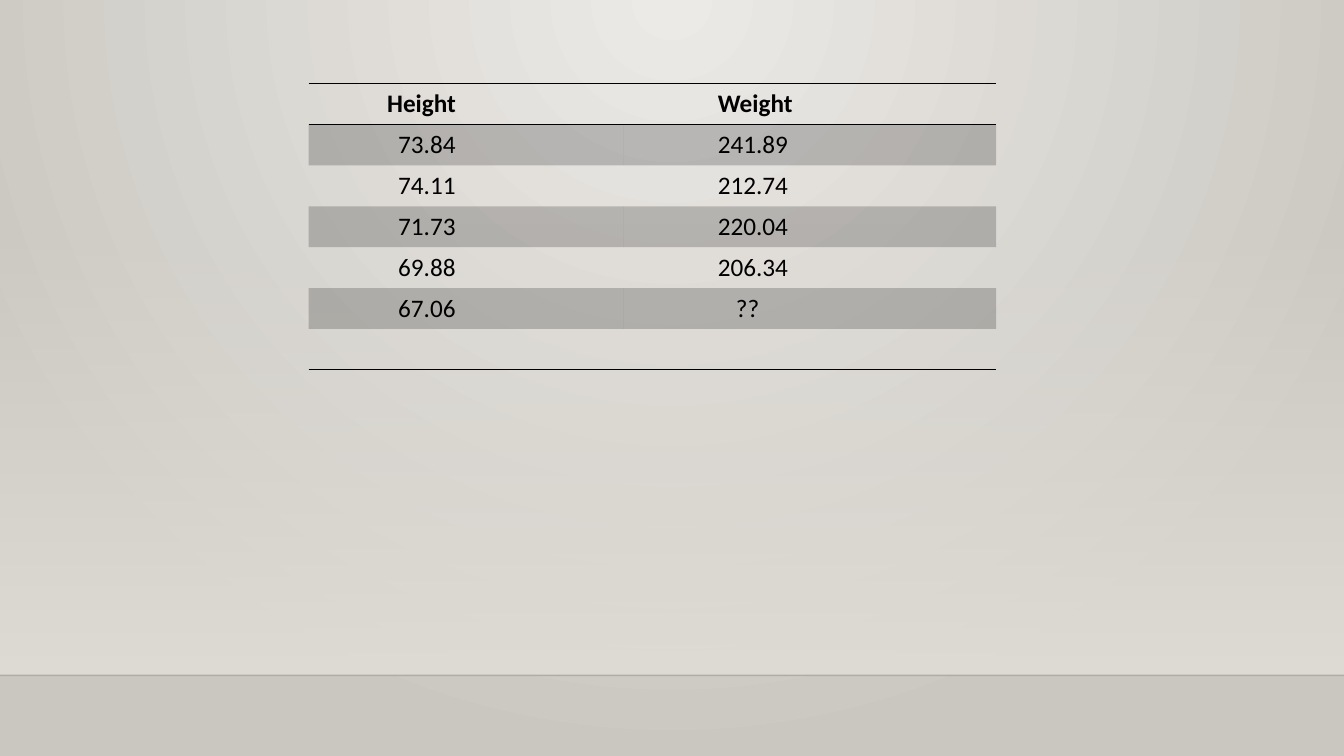
"""Build a slide with a height and weight table on a softly lit backdrop."""
from dataclasses import dataclass

from lxml import etree
from pptx import Presentation
from pptx import util as u
from pptx.dml.color import RGBColor
from pptx.enum import shapes, text
from pptx.oxml.ns import qn


@dataclass(frozen=True)
class Theme:
    """Colours, type and line sizes of the slide."""
    ink: str = "000000"
    glow: str = "ECEAE7"
    edge: str = "CAC7C1"
    wall: str = "DFDBD5"
    font: str = "Calibri"
    size: int = 18
    rule: int = 1
    tint: int = 20
    plain_table: str = "{2D5ABB26-0587-4C30-8999-92F81FD0307C}"


class SlideBuilder:
    """Draws styled elements on one slide."""

    def __init__(self, slide, theme):
        """Keep the slide and its theme."""
        self.slide = slide
        self.theme = theme

    def set_alpha(self, color, percent):
        """Make a colour element partly transparent."""
        etree.SubElement(color, qn("a:alpha")).set("val", str(percent * 1000))

    def gradient(self, fill, colors):
        """Apply a two-stop gradient."""
        fill.gradient()
        for stop, color in zip(fill.gradient_stops, colors):
            stop.color.rgb = RGBColor.from_string(color)

    def backdrop(self):
        """Fill the background with a glow from the top centre."""
        self.gradient(self.slide.background.fill, (self.theme.glow, self.theme.edge))
        linear = next(self.slide.element.iter(qn("a:lin")))
        circle = etree.Element(qn("a:path"), {"path": "circle"})
        focus = {"l": "43000", "t": "0", "r": "43000", "b": "100000"}
        etree.SubElement(circle, qn("a:fillToRect"), focus)
        linear.getparent().replace(linear, circle)

    def wall(self, left, top, width, height):
        """Add a panel that fades in downwards."""
        shape = self.slide.shapes.add_shape(
            shapes.MSO_SHAPE.RECTANGLE, u.Inches(left), u.Inches(top),
            u.Inches(width), u.Inches(height))
        shape.shadow.inherit = False
        shape.line.fill.background()
        self.gradient(shape.fill, (self.theme.wall, self.theme.wall))
        shape.fill.gradient_angle = 270
        self.set_alpha(next(shape.element.iter(qn("a:srgbClr"))), 0)

    def horizon(self, top, width):
        """Add a faint line across the slide."""
        line = self.slide.shapes.add_connector(
            shapes.MSO_CONNECTOR.STRAIGHT, 0, u.Inches(top),
            u.Inches(width), u.Inches(top))
        line.line.width = u.Pt(self.theme.rule)
        line.line.color.rgb = RGBColor.from_string(self.theme.ink)
        self.set_alpha(next(line.element.iter(qn("a:srgbClr"))), self.theme.tint)
        etree.SubElement(line.element.spPr, qn("a:effectLst"))

    def border(self, cell, sides):
        """Rule the given sides of a cell, named in schema order."""
        properties = cell._tc.get_or_add_tcPr()
        for index, side in enumerate(sides):
            line = etree.Element(qn(f"a:ln{side}"), {"w": str(u.Pt(self.theme.rule))})
            solid = etree.SubElement(line, qn("a:solidFill"))
            etree.SubElement(solid, qn("a:srgbClr")).set("val", self.theme.ink)
            properties.insert(index, line)

    def cell(self, cell, value, indent, bold, shaded):
        """Write and style one table cell."""
        cell.margin_left = u.Inches(indent)
        cell.vertical_anchor = text.MSO_ANCHOR.TOP
        paragraph = cell.text_frame.paragraphs[0]
        paragraph.text = value
        paragraph.font.size = u.Pt(self.theme.size)
        for run in paragraph.runs:
            run.font.name = self.theme.font
            run.font.size = u.Pt(self.theme.size)
            run.font.bold = bold
            run.font.color.rgb = RGBColor.from_string(self.theme.ink)
        if shaded:
            cell.fill.solid()
            cell.fill.fore_color.rgb = RGBColor.from_string(self.theme.ink)
            color = next(cell._tc.tcPr.iter(qn("a:srgbClr")))
            self.set_alpha(color, self.theme.tint)
        else:
            cell.fill.background()

    def table(self, left, top, widths, row_height, rows, indents):
        """Add a table with a ruled header, shaded odd rows and a closing rule."""
        table = self.slide.shapes.add_table(
            len(rows), len(widths), u.Inches(left), u.Inches(top),
            u.Inches(sum(widths)), u.Inches(row_height * len(rows))).table
        table._tbl.tblPr.find(qn("a:tableStyleId")).text = self.theme.plain_table
        table.first_row = table.horz_banding = False
        for column, width in zip(table.columns, widths):
            column.width = u.Inches(width)
        last = len(rows) - 1
        for row, values in enumerate(rows):
            for column, value in enumerate(values):
                cell = table.cell(row, column)
                indent = indents.get(value, indents[column])
                self.cell(cell, value, indent, row == 0, row % 2 == 1)
                self.border(cell, {0: "TB", last: "B"}.get(row, ""))


def main():
    """Create and save the presentation."""
    presentation = Presentation()
    presentation.slide_width = u.Inches(13.33)
    presentation.slide_height = u.Inches(7.5)
    slide = presentation.slides.add_slide(presentation.slide_layouts[6])
    builder = SlideBuilder(slide, Theme())
    builder.backdrop()
    builder.wall(0, 2.21, 13.33, 4.49)
    builder.horizon(6.7, 13.33)
    measurements = [
        ("Height", "Weight"),
        ("73.84", "241.89"),
        ("74.11", "212.74"),
        ("71.73", "220.04"),
        ("69.88", "206.34"),
        ("67.06", "??"),
        ("", ""),
    ]
    indents = {0: 0.89, 1: 0.94, "Height": 0.78, "??": 1.12}
    builder.table(3.06, 0.83, (3.12, 3.7), 0.4, measurements, indents)
    presentation.save("out.pptx")


if __name__ == "__main__":
    main()
